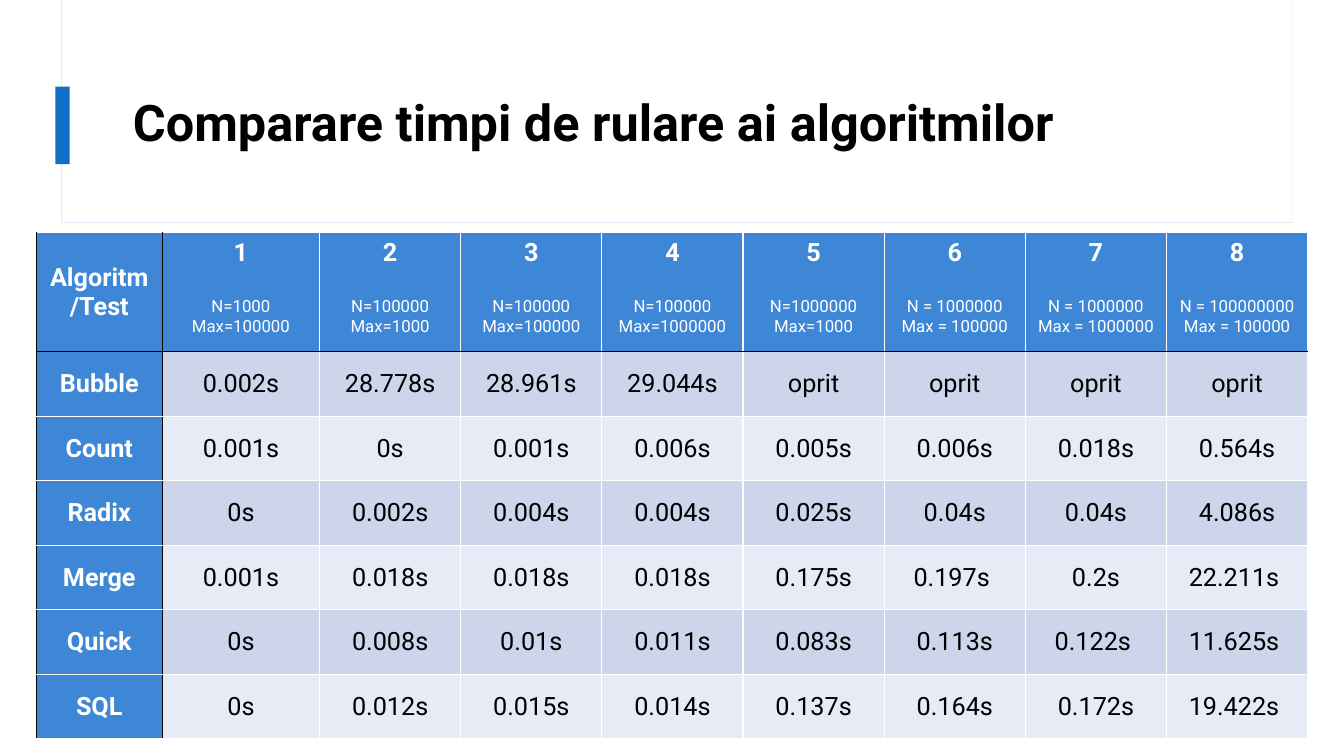
"""Build a slide comparing the running times of sorting algorithms."""
from lxml import etree
from pptx import Presentation
from pptx.dml.color import RGBColor
from pptx.enum.shapes import MSO_SHAPE
from pptx.enum.text import MSO_ANCHOR, PP_ALIGN
from pptx.oxml.ns import qn
from pptx.util import Inches, Pt

RECT = MSO_SHAPE.RECTANGLE
MIDDLE, TOP = MSO_ANCHOR.MIDDLE, MSO_ANCHOR.TOP
CENTER = PP_ALIGN.CENTER
FONT = "Roboto"
WHITE = RGBColor(0xFF, 0xFF, 0xFF)
BLACK = RGBColor(0x00, 0x00, 0x00)
ACCENT = RGBColor(0x0F, 0x6F, 0xC6)
FRAME_LINE = RGBColor(0xDF, 0xEB, 0xF8)
HEADER = RGBColor(0x3E, 0x86, 0xD6)
BAND_DARK = RGBColor(0xCC, 0xD5, 0xEA)
BAND_LIGHT = RGBColor(0xE7, 0xEB, 0xF5)

TESTS = [
    ("N=1000", "Max=100000"),
    ("N=100000", "Max=1000"),
    ("N=100000", "Max=100000"),
    ("N=100000", "Max=1000000"),
    ("N=1000000", "Max=1000"),
    ("N = 1000000", "Max = 100000"),
    ("N = 1000000", "Max = 1000000"),
    ("N = 100000000", "Max = 100000"),
]
TIMES = [
    ["Bubble", "0.002s", "28.778s", "28.961s", "29.044s", "oprit", "oprit", "oprit", "oprit"],
    ["Count", "0.001s", "0s", "0.001s", "0.006s", "0.005s", "0.006s", "0.018s", "0.564s"],
    ["Radix", "0s", "0.002s", "0.004s", "0.004s", "0.025s", "0.04s", "0.04s", "4.086s"],
    ["Merge", "0.001s", "0.018s", "0.018s", "0.018s", "0.175s", "0.197s ", "0.2s", "22.211s "],
    ["Quick", "0s", "0.008s", "0.01s", "0.011s", "0.083s", "0.113s", "0.122s ", "11.625s "],
    ["SQL", "0s", "0.012s", "0.015s", "0.014s", "0.137s", "0.164s", "0.172s", "19.422s "],
]


def format_run(r, size, color, bold):
    r.font.name = FONT
    r.font.size = Pt(size)
    r.font.color.rgb = color
    r.font.bold = bold


def set_border(cell, side, color):
    ln = etree.SubElement(cell._tc.get_or_add_tcPr(), qn("a:" + side), w=str(Pt(1)))
    fill = etree.SubElement(ln, qn("a:solidFill"))
    etree.SubElement(fill, qn("a:srgbClr"), val=str(color))


prs = Presentation()
prs.slide_width, prs.slide_height = Inches(13.33), Inches(7.5)
s = prs.slides.add_slide(prs.slide_layouts[6])

for box, fill, line in [
    ((0.61, 0, 12.21, 2.21), WHITE, FRAME_LINE),
    ((0.62, 0, 12.2, 2.2), WHITE, None),
    ((0.55, 0.86, 0.14, 0.77), ACCENT, None),
]:
    sp = s.shapes.add_shape(RECT, *[Inches(v) for v in box])
    sp.shadow.inherit = False
    sp.fill.solid()
    sp.fill.fore_color.rgb = fill
    if line is None:
        sp.line.fill.background()
    else:
        sp.line.color.rgb = line
        sp.line.width = Pt(0.75)

title = s.shapes.add_textbox(Inches(1.22), Inches(0.6), Inches(11.12), Inches(1.29))
tf = title.text_frame
tf.word_wrap = True
tf.vertical_anchor = MIDDLE
tf.text = "Comparare timpi de rulare ai algoritmilor"
tf.paragraphs[0].line_spacing = 0.9
format_run(tf.paragraphs[0].runs[0], 36, BLACK, True)

header = ["Algoritm/Test"]
header += ["\n".join((str(n), *test)) for n, test in enumerate(TESTS, 1)]
rows = [header] + TIMES

table = s.shapes.add_table(
    len(rows), len(header), Inches(0.36), Inches(2.31), Inches(12.64), Inches(5.05)
).table
for column, width in zip(table.columns, [1.25, 1.56] + [1.4] * 7):
    column.width = Inches(width)
for row, height in zip(table.rows, [1.18] + [0.64] * 6):
    row.height = Inches(height)

for i, values in enumerate(rows):
    for j, value in enumerate(values):
        cell = table.cell(i, j)
        is_header = i == 0 or j == 0
        set_border(cell, "lnL", BLACK if j <= 1 else WHITE)
        set_border(cell, "lnR", BLACK if j == 0 else WHITE)
        set_border(cell, "lnT", BLACK if i == 1 else WHITE)
        set_border(cell, "lnB", BLACK if i == 0 else WHITE)
        cell.fill.solid()
        band = BAND_DARK if i % 2 else BAND_LIGHT
        cell.fill.fore_color.rgb = HEADER if is_header else band
        cell.vertical_anchor = TOP if i == 0 and j > 0 else MIDDLE
        cell.text_frame.text = value
        for k, p in enumerate(cell.text_frame.paragraphs):
            p.alignment = CENTER
            if k == 1:
                p.space_before = Pt(21)
            format_run(p.runs[0], 12 if k else 18, WHITE if is_header else BLACK, is_header and k == 0)

prs.save("out.pptx")
